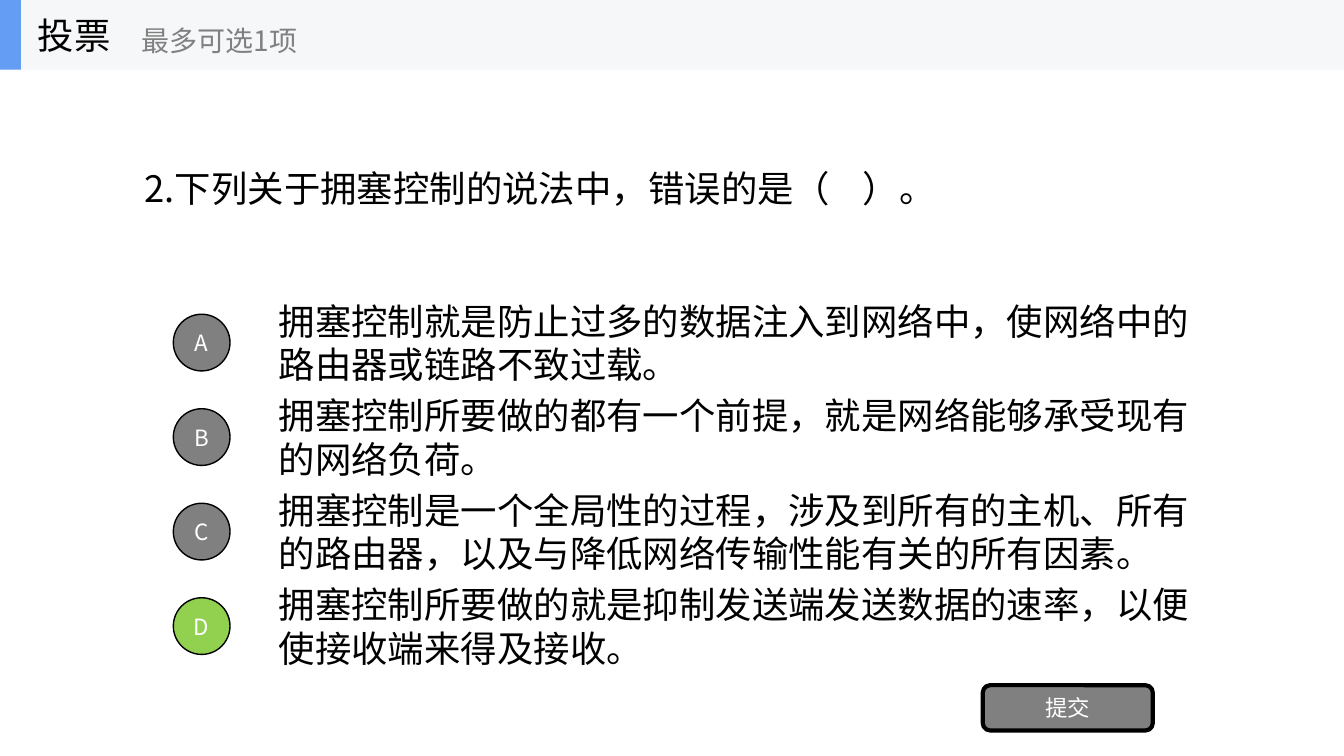
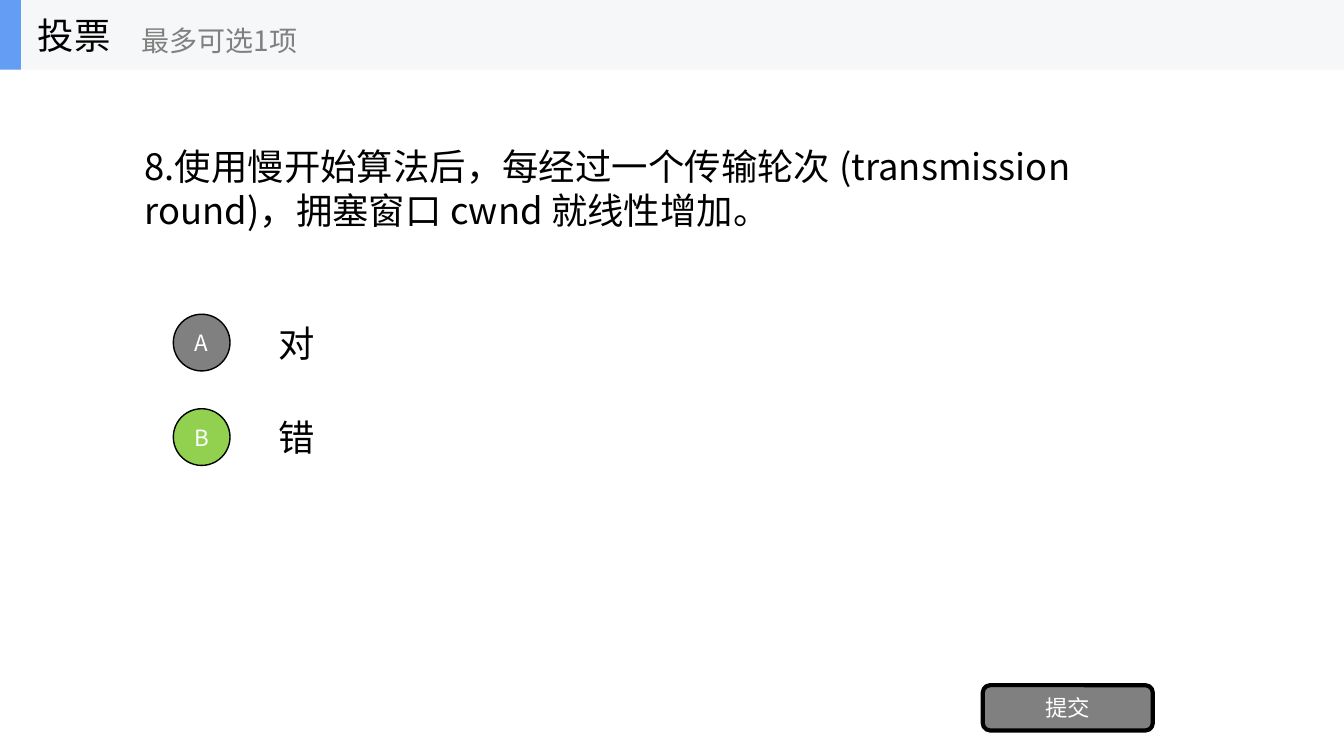
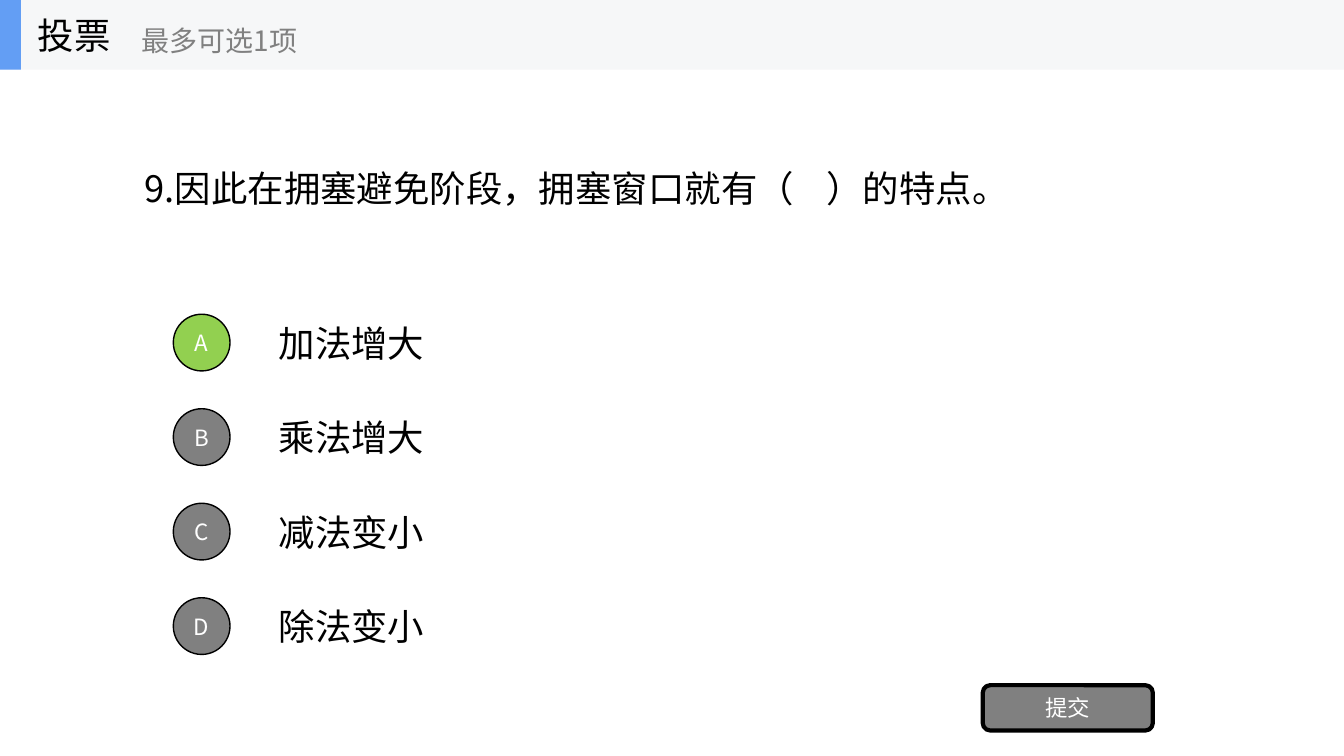
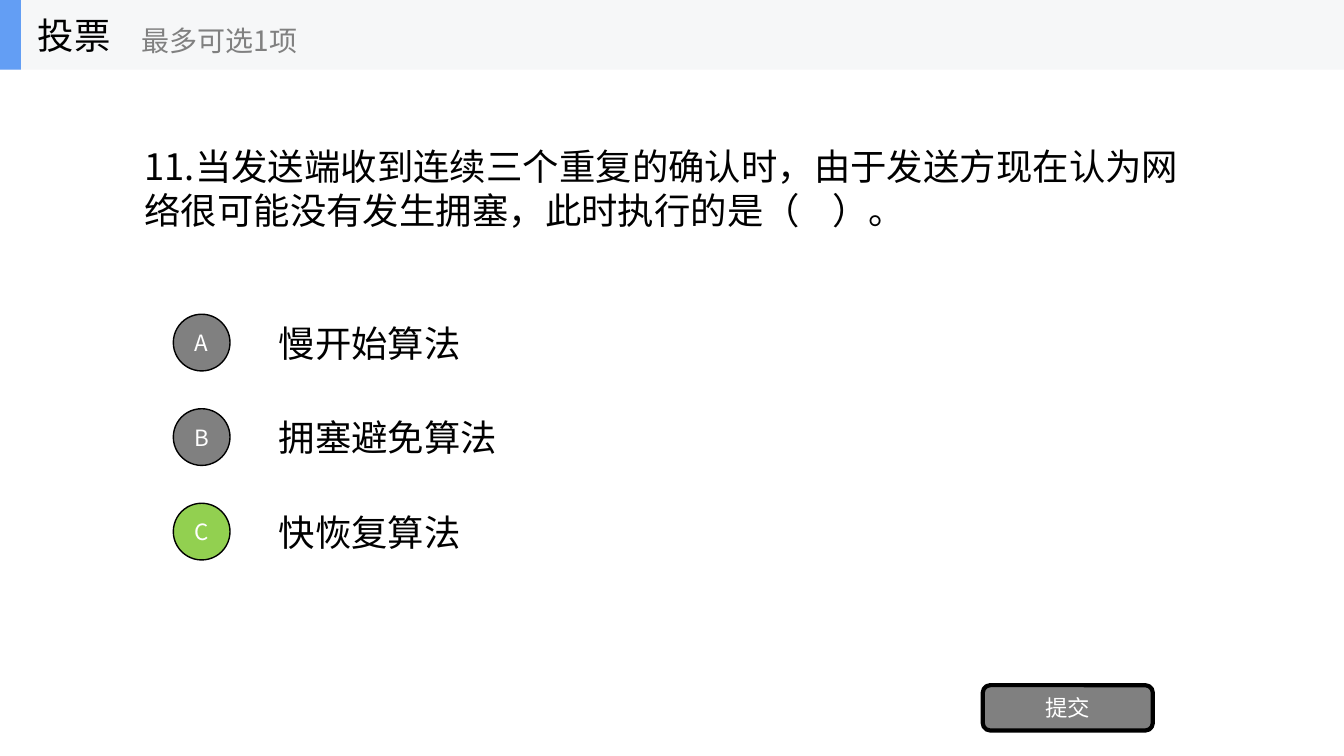
"""Build four quiz slides, each with a poll header, lettered options and a submit button."""
from lxml.etree import SubElement
from pptx import Presentation
from pptx.dml.color import RGBColor as RGB
from pptx.enum.shapes import MSO_SHAPE as Form
from pptx.enum.text import MSO_ANCHOR as Anchor, MSO_AUTO_SIZE as Fit, PP_ALIGN as Align
from pptx.oxml.ns import qn
from pptx.util import Pt

QUIZ = [
    ("2.下列关于拥塞控制的说法中，错误的是（    ）。", "D", [
        "拥塞控制就是防止过多的数据注入到网络中，使网络中的路由器或链路不致过载。",
        "拥塞控制所要做的都有一个前提，就是网络能够承受现有的网络负荷。",
        "拥塞控制是一个全局性的过程，涉及到所有的主机、所有的路由器，以及与降低网络传输性能有关的所有因素。",
        "拥塞控制所要做的就是抑制发送端发送数据的速率，以便使接收端来得及接收。",
    ]),
    ("8.使用慢开始算法后，每经过一个传输轮次 (transmission round)，拥塞窗口 cwnd 就线性增加。", "B",
     ["对", "错"]),
    ("9.因此在拥塞避免阶段，拥塞窗口就有（    ）的特点。", "A",
     ["加法增大", "乘法增大", "减法变小", "除法变小"]),
    ("11.当发送端收到连续三个重复的确认时，由于发送方现在认为网络很可能没有发生拥塞，此时执行的是（    ）。", "C",
     ["慢开始算法", "拥塞避免算法", "快恢复算法"]),
]
POLL, LIMIT, SUBMIT = "投票", "最多可选1项", "提交"

FONT = "Noto Sans CJK SC"
HEX = {"ink": "000000", "gray": "808080", "white": "FFFFFF",
       "right": "92D050", "band": "F6F7F8", "accent": "639EF4"}
WIDE, HIGH = 960, 540
BAND = 49.7
TOP, STEP, ROW, DOT = 219.4, 67.5, 50.6, 40.5


def color(name):
    return RGB.from_string(HEX[name])


def write(shape, text, size, ink="ink", align=Align.LEFT, wrap=True):
    frame = shape.text_frame
    frame.text = text
    frame.word_wrap = wrap
    frame.auto_size = Fit.NONE
    frame.vertical_anchor = Anchor.MIDDLE
    para = frame.paragraphs[0]
    para.alignment = align
    font = para.font
    font.name, font.size = FONT, Pt(size)
    font.color.rgb = color(ink)
    props = para._p.pPr.find(qn("a:defRPr"))
    SubElement(props, qn("a:ea")).set("typeface", FONT)


def label(shapes, box, text, size, ink="ink", wrap=True):
    write(shapes.add_textbox(*map(Pt, box)), text, size, ink, wrap=wrap)


def block(shapes, form, box, fill, line=0, text=""):
    shape = shapes.add_shape(form, *map(Pt, box))
    shape.shadow.inherit = False
    shape.fill.solid()
    shape.fill.fore_color.rgb = color(fill)
    if line:
        shape.line.color.rgb = color("ink")
        shape.line.width = Pt(line)
    else:
        shape.line.fill.background()
    if text:
        frame = shape.text_frame
        frame.margin_left = frame.margin_right = 0
        frame.margin_top = frame.margin_bottom = 0
        write(shape, text, 16, "white", Align.CENTER)


def header(slide):
    shapes = slide.shapes.add_group_shape().shapes
    block(shapes, Form.RECTANGLE, (0, 0, WIDE, BAND), "band")
    block(shapes, Form.RECTANGLE, (0, 0, 15, BAND), "accent")
    label(shapes, (20, 0, 150, BAND), POLL, 26, wrap=False)
    label(shapes, (94, 9, 180, 40), LIMIT, 20, "gray", wrap=False)


def build(deck, ask, key, picks):
    slide = deck.slides.add_slide(deck.slide_layouts[5])
    shapes = slide.shapes
    title = shapes.title
    title.left, title.top, title.width, title.height = map(Pt, (96, BAND, 768, 168.7))
    write(title, ask, 26)
    for row, (mark, text) in enumerate(zip("ABCD", picks)):
        top = TOP + row * STEP
        label(shapes, (192, top, 672, ROW), text, 26)
        block(shapes, Form.OVAL, (123.8, top + (ROW - DOT) / 2, DOT, DOT),
              "right" if mark == key else "gray", 1, mark)
    block(shapes, Form.ROUNDED_RECTANGLE, (702, 489.4, 121.5, 32.4), "gray", 3, SUBMIT)
    header(slide)


def main():
    deck = Presentation()
    deck.slide_width, deck.slide_height = Pt(WIDE), Pt(HIGH)
    for item in QUIZ:
        build(deck, *item)
    deck.save("out.pptx")


if __name__ == "__main__":
    main()
